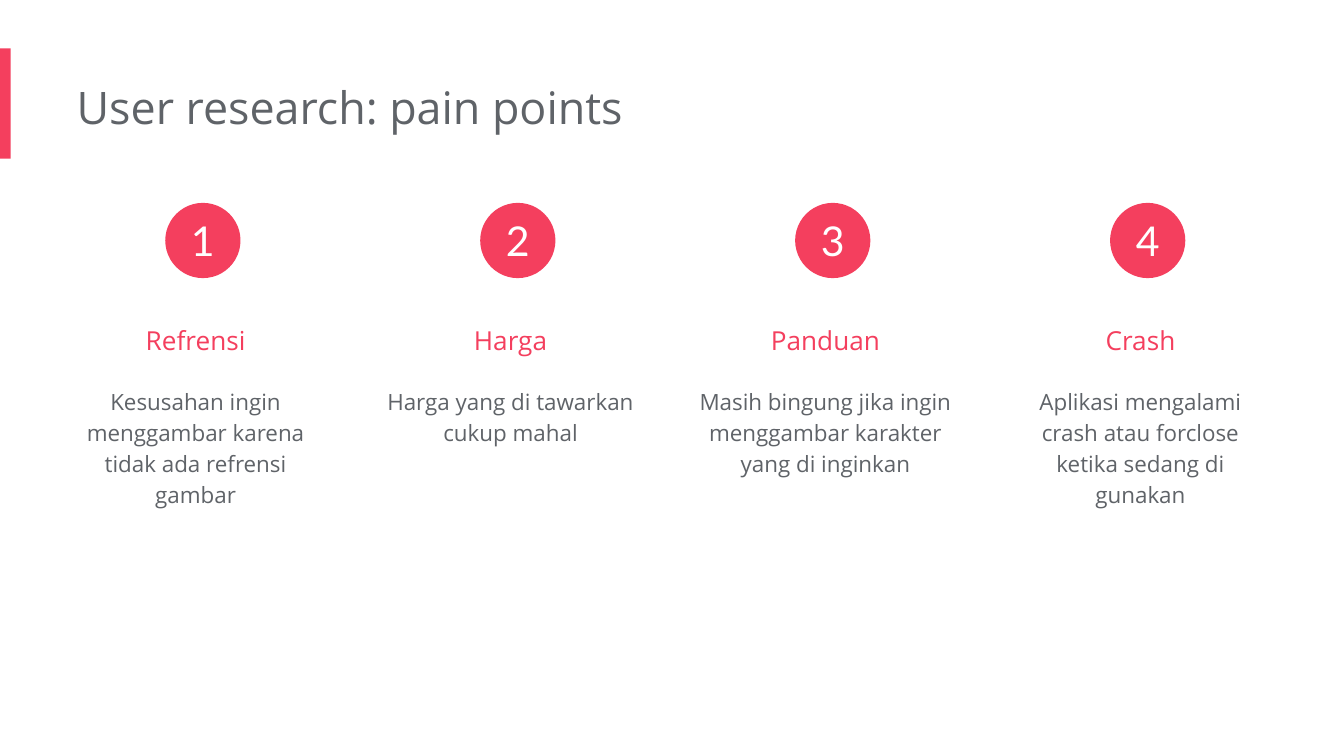
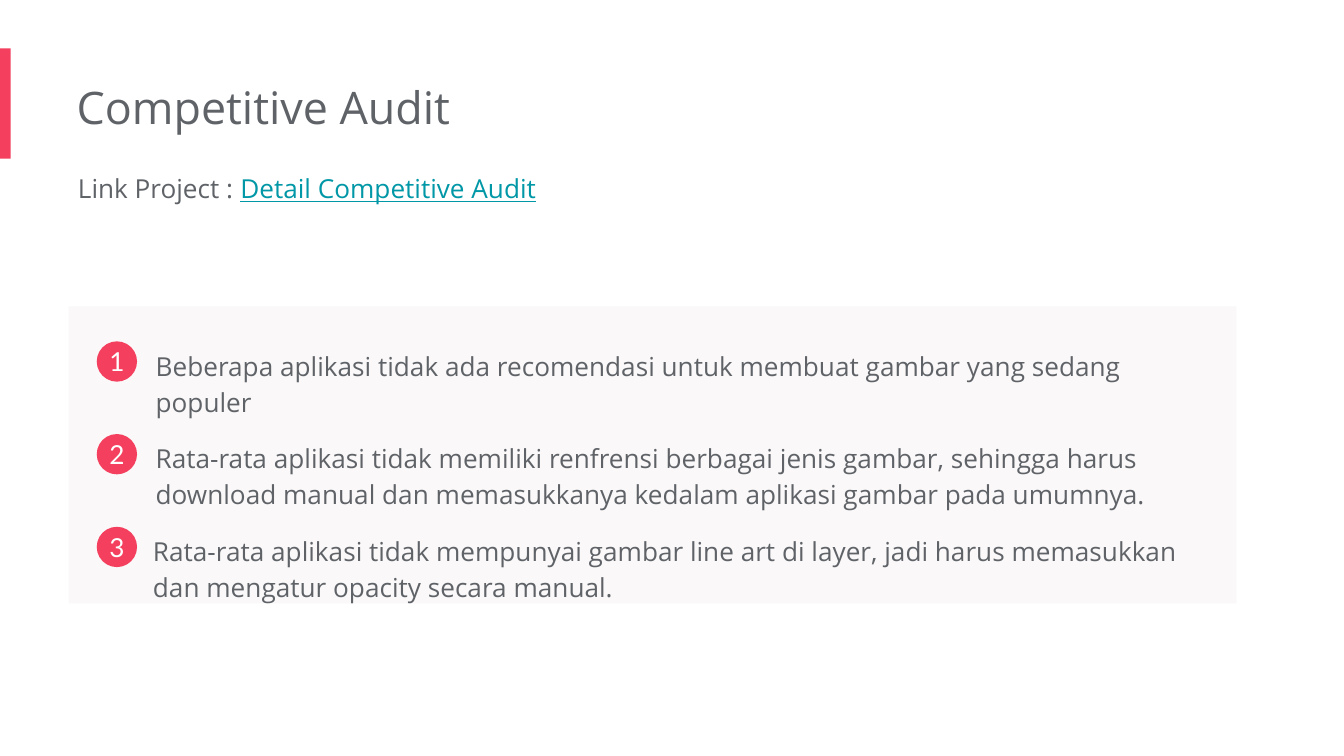
from pptx import Presentation
from pptx.dml.color import RGBColor
from pptx.enum.shapes import MSO_SHAPE
from pptx.enum.text import MSO_ANCHOR, MSO_AUTO_SIZE, PP_ALIGN
from pptx.util import Inches, Pt

COLORS = {"accent": "F43F5E", "text": "5F6368", "panel": "FAF8F8",
          "link": "0097A7", "white": "FFFFFF"}
SANS, LATO = "Open Sans", "Lato"

# Text styles: font, size, colour, alignment, line spacing
STYLES = {
    "title": (SANS, 24, "text", PP_ALIGN.LEFT, 1.0),
    "head": (SANS, 14, "accent", PP_ALIGN.CENTER, 1.5),
    "note": (SANS, 12, "text", PP_ALIGN.CENTER, 1.15),
    "body": (SANS, 14, "text", PP_ALIGN.LEFT, 1.15),
    "large": (LATO, 22, "white", PP_ALIGN.CENTER, 1.0),
    "small": (LATO, 14, "white", PP_ALIGN.CENTER, 1.0),
}

PAINS = [
    ("Refrensi", "Kesusahan ingin menggambar karena tidak ada refrensi gambar", 1.13),
    ("Harga", "Harga yang di tawarkan cukup mahal", 0.9),
    ("Panduan", "Masih bingung jika ingin menggambar karakter yang di inginkan", 1.13),
    ("Crash", "Aplikasi mengalami crash atau forclose ketika sedang di gunakan", 1.36),
]

# Finding, left offset in the panel, width
AUDIT = [
    ("Beberapa aplikasi tidak ada recomendasi untuk membuat gambar yang sedang "
     "populer", 0.55, 7.91),
    ("Rata-rata aplikasi tidak memiliki renfrensi berbagai jenis gambar, sehingga "
     "harus download manual dan memasukkanya kedalam aplikasi gambar pada umumnya.",
     0.55, 8.04),
    ("Rata-rata aplikasi tidak mempunyai gambar line art di layer, jadi harus "
     "memasukkan dan mengatur opacity secara manual.", 0.53, 7.96),
]


def color(name):
    return RGBColor.from_string(COLORS[name])


def assign(item, values):
    for key, value in values.items():
        setattr(item, key, value)


def write(shape, text, style, left=0.0, edge=0.1, anchor=MSO_ANCHOR.TOP):
    """Fill a shape with one styled paragraph and return the paragraph."""
    font, size, ink, align, space = STYLES[style]
    frame = shape.text_frame
    assign(frame, {
        "word_wrap": True, "auto_size": MSO_AUTO_SIZE.NONE,
        "vertical_anchor": anchor, "margin_left": Inches(left),
        "margin_top": Inches(edge), "margin_right": Inches(edge),
        "margin_bottom": Inches(edge),
    })
    para = frame.paragraphs[0]
    assign(para, {"alignment": align, "line_spacing": space})
    run = para.add_run()
    run.text = text
    assign(run.font, {"name": font, "size": Pt(size)})
    run.font.color.rgb = color(ink)
    return para


def add_text(slide, box, text, style, left=0.0):
    shape = slide.shapes.add_textbox(*map(Inches, box))
    return write(shape, text, style, left)


def add_block(slide, kind, box, fill):
    shape = slide.shapes.add_shape(kind, *map(Inches, box))
    shape.shadow.inherit = False
    shape.fill.solid()
    shape.fill.fore_color.rgb = color(fill)
    shape.line.fill.background()
    return shape


def add_badge(slide, x, y, size, number, style):
    dot = add_block(slide, MSO_SHAPE.OVAL, (x, y, size, size), "accent")
    write(dot, str(number), style, edge=0, anchor=MSO_ANCHOR.MIDDLE)


def add_page(deck, title):
    """Start a slide with the shared accent bar and title."""
    slide = deck.slides.add_slide(deck.slide_layouts[5])
    add_block(slide, MSO_SHAPE.RECTANGLE, (0, 0.36, 0.08, 0.82), "accent")
    names = ("left", "top", "width", "height")
    assign(slide.shapes.title, dict(zip(names, map(Inches, (0.57, 0.49, 6.7, 0.61)))))
    write(slide.shapes.title, title, "title")
    return slide


def add_pains(slide, box):
    """Four equal columns, each with a badge, a heading and a note."""
    x, y, width, _ = box
    col = 2.05
    step = (width - col) / (len(PAINS) - 1)
    for i, (head, note, height) in enumerate(PAINS):
        left = x + i * step
        add_badge(slide, left + 0.75, y, 0.56, i + 1, "large")
        add_text(slide, (left, y + 0.69, col, 0.56), head, "head")
        add_text(slide, (left, y + 1.25, col, height), note, "note")


def add_link(slide, box):
    para = add_text(slide, box, "Link Project : ", "body")
    run = para.add_run()
    run.text = "Detail Competitive Audit"
    assign(run.font, {"name": SANS, "size": Pt(14), "underline": True})
    run.font.color.rgb = color("link")


def add_audit(slide, box):
    """Panel with evenly spaced numbered findings."""
    x, y, _, _ = box
    add_block(slide, MSO_SHAPE.RECTANGLE, box, "panel")
    for i, (text, shift, width) in enumerate(AUDIT):
        top = y + 0.19 + i * 0.69
        add_text(slide, (x + shift, top, width, 0.74), text, "body", left=0.1)
        add_badge(slide, x + 0.21, top + 0.07, 0.3, i + 1, "small")


def main():
    # Widescreen page, 16 to 9
    deck = Presentation()
    width = Inches(10)
    assign(deck, {"slide_width": width, "slide_height": width * 9 // 16})

    # Pain points
    slide = add_page(deck, "User research: pain points")
    add_pains(slide, (0.48, 1.51, 9.08, 2.61))

    # Competitive audit
    slide = add_page(deck, "Competitive Audit")
    add_audit(slide, (0.51, 2.28, 8.69, 2.21))
    add_link(slide, (0.58, 1.15, 8.61, 0.47))

    deck.save("out.pptx")


if __name__ == "__main__":
    main()
